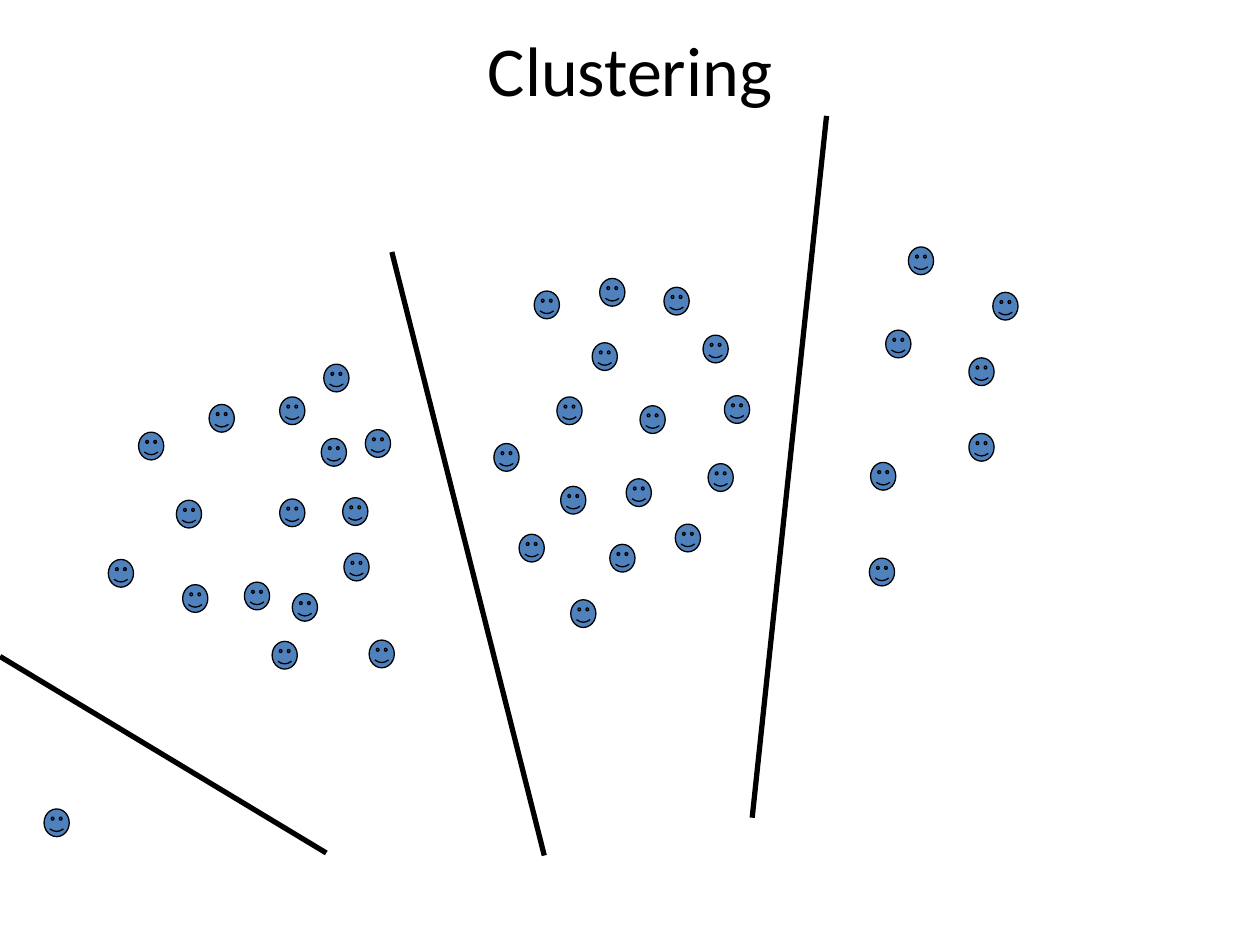
"""Build a slide of scattered points split into clusters by lines."""
from dataclasses import dataclass

from lxml import etree
from pptx import Presentation
from pptx import util as u
from pptx.dml.color import RGBColor
from pptx.enum import shapes, text
from pptx.oxml import ns


@dataclass(frozen=True)
class Theme:
    ink: RGBColor = RGBColor.from_string("000000")
    point: RGBColor = RGBColor.from_string("4F81BD")
    font: str = "Calibri"
    title_size: float = 40
    outline: float = 0.75
    divider: float = 3


theme = Theme()


def write(holder, wording, size, color, font=theme.font, align=text.PP_ALIGN.CENTER):
    frame = holder.text_frame
    frame.word_wrap = True
    frame.vertical_anchor = text.MSO_ANCHOR.MIDDLE
    paragraph = frame.paragraphs[0]
    paragraph.alignment = align
    run = paragraph.add_run()
    run.text = wording
    run.font.size = u.Pt(size)
    run.font.name = font
    run.font.color.rgb = color


deck = Presentation()
deck.slide_width, deck.slide_height = u.Inches(10), u.Inches(7.5)
slide = deck.slides.add_slide(deck.slide_layouts[5])

heading = slide.shapes.title
heading.left = heading.top = 0
heading.width, heading.height = deck.slide_width, u.Inches(1.08)
write(heading, "Clustering", theme.title_size, theme.ink)

clusters = {
    "left": [
        (1.66, 3.21), (2.22, 3.15), (2.57, 2.89), (1.45, 4.64), (1.4, 3.97),
        (2.9, 3.41), (1.94, 4.62), (0.86, 4.44), (1.1, 3.43), (2.22, 3.96),
        (2.72, 3.95), (2.32, 4.71), (2.73, 4.39), (2.93, 5.08), (2.16, 5.09),
        (2.55, 3.48),
    ],
    "middle": [
        (3.92, 3.52), (4.12, 4.24), (4.24, 2.31), (4.7, 2.72), (4.76, 2.21),
        (5.27, 2.28), (4.45, 3.86), (4.42, 3.15), (4.97, 3.8), (5.62, 3.68),
        (5.08, 3.22), (5.75, 3.14), (4.84, 4.32), (5.36, 4.16), (5.58, 2.66),
        (4.53, 4.76),
    ],
    "right": [
        (7.03, 2.62), (7.21, 1.96), (7.69, 3.44), (6.9, 4.43), (7.69, 2.84),
        (6.91, 3.67), (7.88, 2.32),
    ],
    "outlier": [(0.35, 6.42)],
}
point_size = u.Inches(0.2), u.Inches(0.22)
for members in clusters.values():
    for left, top in members:
        point = slide.shapes.add_shape(
            shapes.MSO_SHAPE.SMILEY_FACE, u.Inches(left), u.Inches(top), *point_size)
        point.shadow.inherit = False
        point.fill.solid()
        point.fill.fore_color.rgb = theme.point
        point.line.color.rgb = theme.ink
        point.line.width = u.Pt(theme.outline)

dividers = [(3.11, 2, 4.32, 6.79), (6.56, 0.92, 5.97, 6.49), (0, 5.21, 2.59, 6.77)]
for ends in dividers:
    divider = slide.shapes.add_connector(
        shapes.MSO_CONNECTOR.STRAIGHT, *(u.Inches(end) for end in ends))
    divider.line.color.rgb = theme.ink
    divider.line.width = u.Pt(theme.divider)
    etree.SubElement(divider._element.spPr, ns.qn("a:effectLst"))

deck.save("out.pptx")
